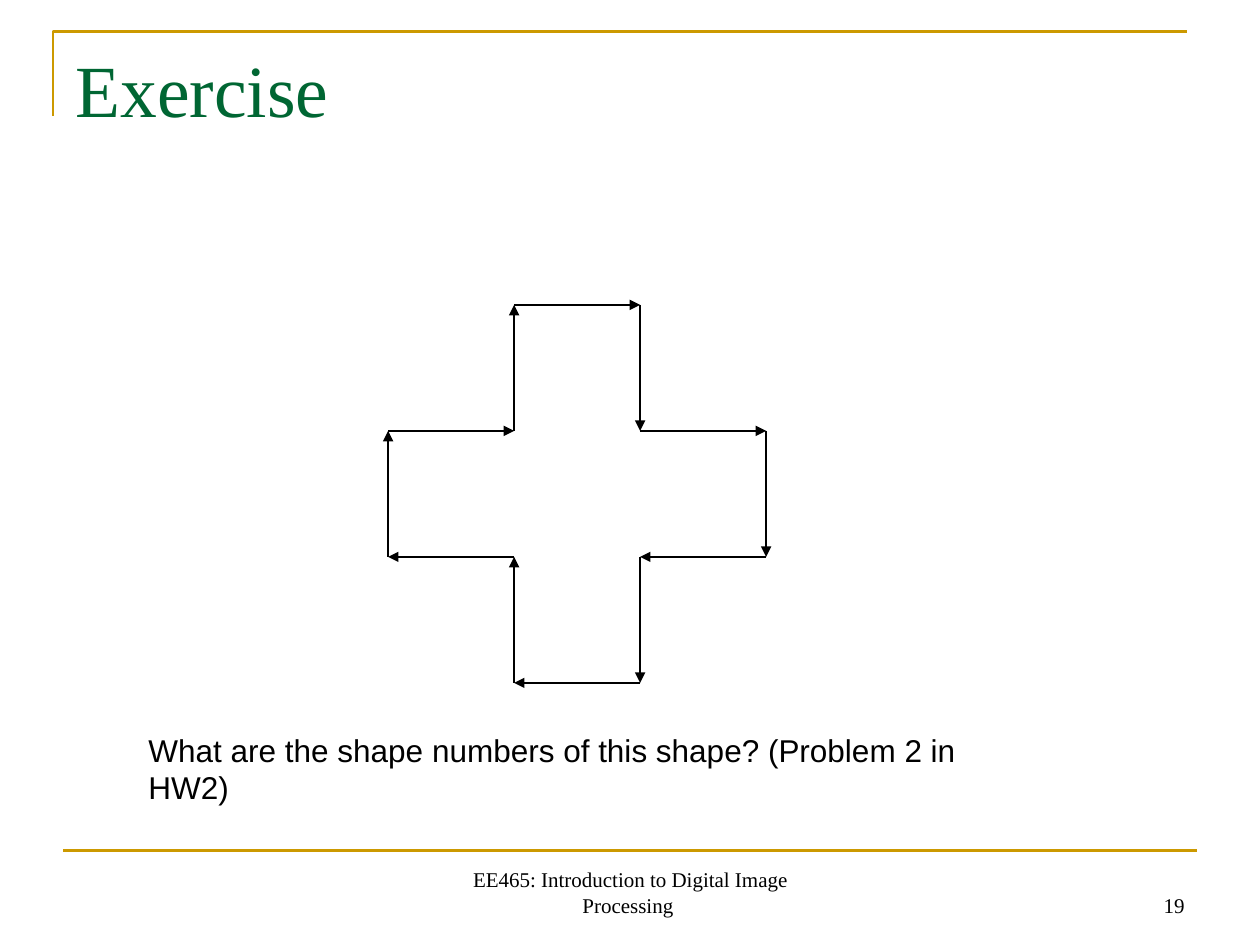
import pptx
import pptx.util
import pptx.dml.color
import pptx.enum.shapes
import pptx.enum.text
import pptx.oxml
import pptx.oxml.ns
from pptx.util import Inches

HUES = {"gold": "CC9900", "green": "006633", "black": "000000"}
ALIGN = pptx.enum.text.PP_ALIGN
ANCHOR = pptx.enum.text.MSO_ANCHOR


def link(start, end, hue, width, arrow=False):
    line = slide.shapes.add_connector(
        pptx.enum.shapes.MSO_CONNECTOR.STRAIGHT,
        *(Inches(v) for v in (*start, *end)))
    line.line.color.rgb = pptx.dml.color.RGBColor.from_string(HUES[hue])
    line.line.width = pptx.util.Pt(width)
    if arrow:
        head = pptx.oxml.parse_xml(
            f'<a:tailEnd {pptx.oxml.ns.nsdecls("a")} type="triangle"/>')
        line.line._get_or_add_ln().append(head)
    line._element.spPr.append(
        pptx.oxml.parse_xml(f'<a:effectLst {pptx.oxml.ns.nsdecls("a")}/>'))


def write(shape, text, font, size, hue, align=ALIGN.LEFT,
          anchor=ANCHOR.TOP, wrap=True):
    frame = shape.text_frame
    frame.word_wrap = wrap
    frame.auto_size = pptx.enum.text.MSO_AUTO_SIZE.NONE
    frame.vertical_anchor = anchor
    para = frame.paragraphs[0]
    para.alignment = align
    run = para.add_run()
    run.text = text
    run.font.name = font
    run.font.size = pptx.util.Pt(size)
    run.font.color.rgb = pptx.dml.color.RGBColor.from_string(HUES[hue])


deck = pptx.Presentation()
deck.slide_width, deck.slide_height = Inches(10), Inches(7.5)
slide = deck.slides.add_slide(deck.slide_layouts[5])

# Frame: corner at the top, rule above the footer
pen = slide.shapes.build_freeform(Inches(0.42), Inches(0.92))
pen.add_line_segments([(Inches(0.42), Inches(0.25)),
                       (Inches(9.42), Inches(0.25))], close=False)
corner = pen.convert_to_shape()
corner.shadow.inherit = False
corner.fill.background()
corner.line.color.rgb = pptx.dml.color.RGBColor.from_string(HUES["gold"])
corner.line.width = pptx.util.Pt(1.5)
link((0.5, 6.75), (9.5, 6.75), "gold", 1.5)

title = slide.shapes.title
title.left, title.top = Inches(0.5), Inches(0.3)
title.width, title.height = Inches(9), Inches(1.25)
write(title, "Exercise", "Times New Roman", 42, "green")

# Cross outline: one-inch steps, clockwise from the left arm
steps = {"R": (1, 0), "L": (-1, 0), "U": (0, -1), "D": (0, 1)}
x, y = 3.08, 3.42
for turn in "RURDRDLDLULU":
    dx, dy = steps[turn]
    link((x, y), (x + dx, y + dy), "black", 0.75, arrow=True)
    x, y = x + dx, y + dy

ask = slide.shapes.add_textbox(
    Inches(1.08), Inches(5.75), Inches(7.31), Inches(0.4))
write(ask, "What are the shape numbers of this shape? (Problem 2 in HW2)",
      "Arial", 18, "black", wrap=False)
ask.text_frame.auto_size = pptx.enum.text.MSO_AUTO_SIZE.SHAPE_TO_FIT_TEXT

for left, width, text, align in [
    (3.42, 3.17, "EE465: Introduction to Digital Image Processing ",
     ALIGN.CENTER),
    (7.17, 2.33, "19", ALIGN.RIGHT),
]:
    foot = slide.shapes.add_textbox(
        Inches(left), Inches(6.83), Inches(width), Inches(0.5))
    write(foot, text, "Times New Roman", 12, "black", align, ANCHOR.BOTTOM)

deck.save("out.pptx")
